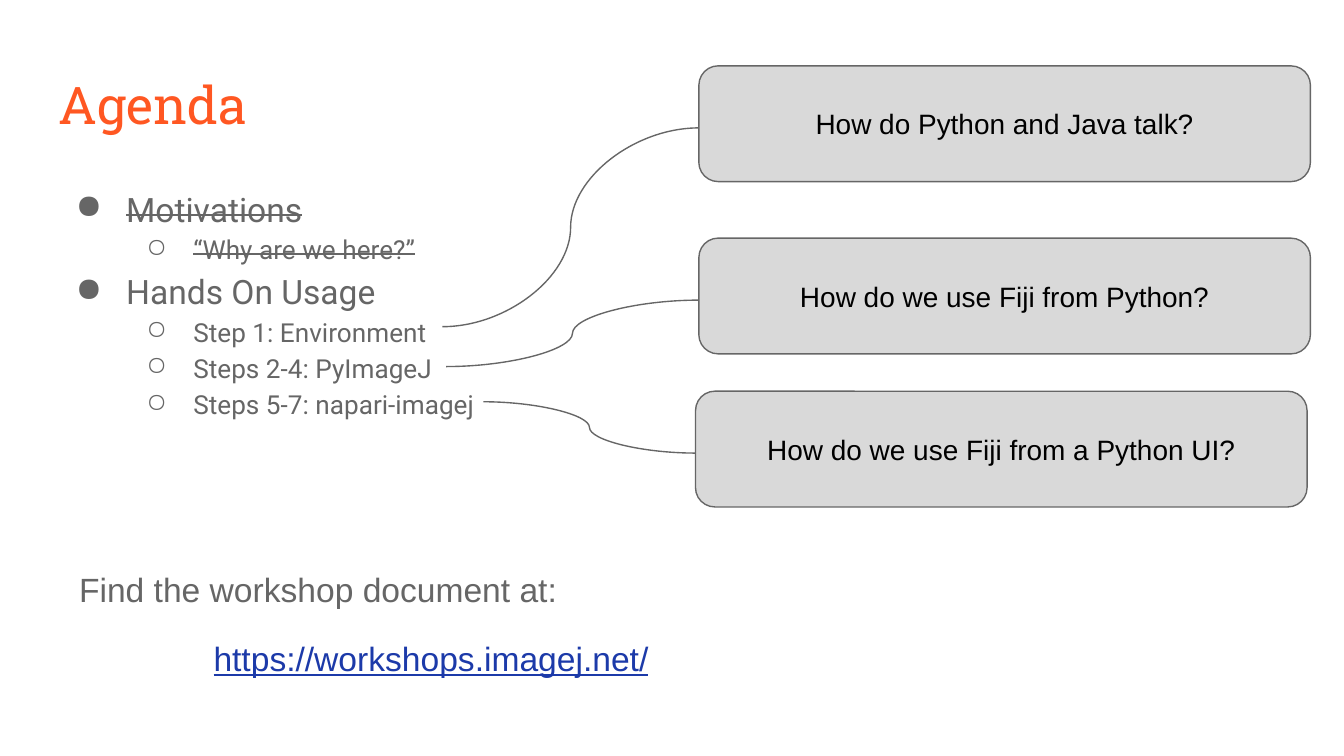
from lxml import etree
from pptx import Presentation
from pptx.dml.color import RGBColor
from pptx.enum.shapes import MSO_CONNECTOR, MSO_SHAPE
from pptx.enum.text import MSO_ANCHOR, PP_ALIGN
from pptx.oxml.ns import qn
from pptx.util import Pt

CURVE = MSO_CONNECTOR.CURVE
ROUNDED = MSO_SHAPE.ROUNDED_RECTANGLE
MIDDLE, TOP = MSO_ANCHOR.MIDDLE, MSO_ANCHOR.TOP
CENTER = PP_ALIGN.CENTER

ORANGE = RGBColor(0xFF, 0x57, 0x22)
GRAY = RGBColor(0x66, 0x66, 0x66)
LIGHT_GRAY = RGBColor(0xD9, 0xD9, 0xD9)
BLACK = RGBColor(0, 0, 0)
LINK_BLUE = RGBColor(0x1C, 0x3A, 0xA9)

# Content: (level, text, struck through)
TITLE = "Agenda"
AGENDA = [
    (0, "Motivations", True),
    (1, "“Why are we here?”", True),
    (0, "Hands On Usage", False),
    (1, "Step 1: Environment", False),
    (1, "Steps 2-4: PyImageJ", False),
    (1, "Steps 5-7: napari-imagej", False),
]
# Level: (bullet, left margin, hanging indent, text size)
LEVELS = [("●", 36, 27, 18), ("○", 72, 25.2, 14)]
# (question, box left, box top, x and y where its curve meets the agenda)
QUESTIONS = [
    ("How do Python and Java talk?", 374.4, 35.3, 237, 175),
    ("How do we use Fiji from Python?", 374.4, 127.6, 239, 196.4),
    ("How do we use Fiji from a Python UI?", 372.6, 209.6, 259, 215.3),
]
BOX_WIDTH, BOX_HEIGHT = 327.6, 62
CURVE_DROP = 33.2  # from the top of a box to its curve
FIND_TEXT = "Find the workshop document at:"
FIND_LINK = "https://workshops.imagej.net/"
LINK_TAB = 72


def set_frame(shape, anchor=TOP):
    frame = shape.text_frame
    frame.word_wrap = True
    frame.vertical_anchor = anchor
    frame.margin_left = frame.margin_right = Pt(7.2)
    frame.margin_top = frame.margin_bottom = Pt(7.2)
    return frame


def add_text(left, top, width, height):
    return set_frame(slide.shapes.add_textbox(Pt(left), Pt(top), Pt(width), Pt(height)))


def next_paragraph(frame, index):
    return frame.add_paragraph() if index else frame.paragraphs[0]


def style(font, name, size, color):
    font.name, font.size = name, Pt(size)
    font.color.rgb = color


def set_bullet(paragraph, char, margin, hanging):
    props = paragraph._p.get_or_add_pPr()
    props.set("marL", str(Pt(margin)))
    props.set("indent", str(-Pt(hanging)))
    color = etree.SubElement(props, qn("a:buClr"))
    etree.SubElement(color, qn("a:srgbClr"), val=str(GRAY))
    etree.SubElement(props, qn("a:buChar"), char=char)


prs = Presentation()
prs.slide_width, prs.slide_height = Pt(720), Pt(405)
slide = prs.slides.add_slide(prs.slide_layouts[6])

# Title
title = add_text(24.5, 35.3, 671, 45.4).paragraphs[0]
title.text = TITLE
title.line_spacing = 0.9
style(title.runs[0].font, "Roboto Slab", 27.8, ORANGE)

# Agenda list
agenda = add_text(24.5, 90.7, 671, 269.3)
for index, (level, text, struck) in enumerate(AGENDA):
    bullet, margin, hanging, size = LEVELS[level]
    item = next_paragraph(agenda, index)
    item.text = text
    item.level = level
    item.line_spacing = 1.15
    set_bullet(item, bullet, margin, hanging)
    font = item.runs[0].font
    style(font, "Roboto", size, GRAY)
    if struck:
        font._element.set("strike", "sngStrike")

# Questions, each with a curve to its agenda step
for text, left, top, step_x, step_y in QUESTIONS:
    box = slide.shapes.add_shape(ROUNDED, Pt(left), Pt(top), Pt(BOX_WIDTH), Pt(BOX_HEIGHT))
    box.shadow.inherit = False
    box.fill.solid()
    box.fill.fore_color.rgb = LIGHT_GRAY
    question = set_frame(box, MIDDLE).paragraphs[0]
    question.text = text
    question.alignment = CENTER
    style(question.runs[0].font, "Arial", 15, BLACK)

    curve = slide.shapes.add_connector(
        CURVE, Pt(left), Pt(top + CURVE_DROP), Pt(step_x), Pt(step_y))
    etree.SubElement(curve._element.spPr, qn("a:effectLst"))
    for line in (box.line, curve.line):
        line.color.rgb = GRAY
        line.width = Pt(0.75)

# Workshop address
find = add_text(35.3, 294.5, 344.2, 78.5)
for index, text in enumerate([FIND_TEXT, "\t" + FIND_LINK]):
    row = next_paragraph(find, index)
    row.text = text
    row.line_spacing = 1.15
    style(row.runs[0].font, "Arial", 18, LINK_BLUE if index else GRAY)

link_row = find.paragraphs[1]
link_row.space_before = link_row.space_after = Pt(12)
tabs = etree.SubElement(link_row._p.get_or_add_pPr(), qn("a:tabLst"))
etree.SubElement(tabs, qn("a:tab"), pos=str(Pt(LINK_TAB)), algn="l")
# The tab stays in its own run so that only the address is underlined
link_row.runs[0].text = "\t"
link = link_row.add_run()
link.text = FIND_LINK
style(link.font, "Arial", 18, LINK_BLUE)
link.font.underline = True

prs.save("out.pptx")
